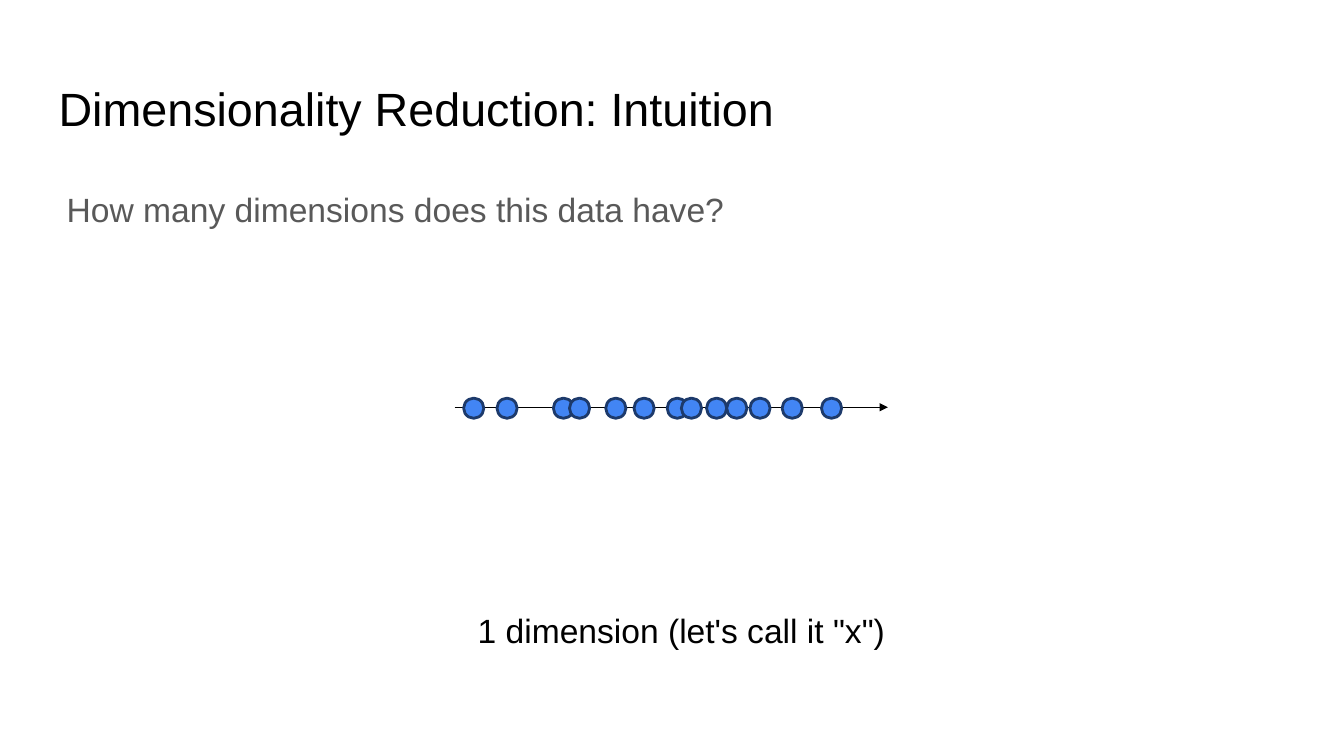
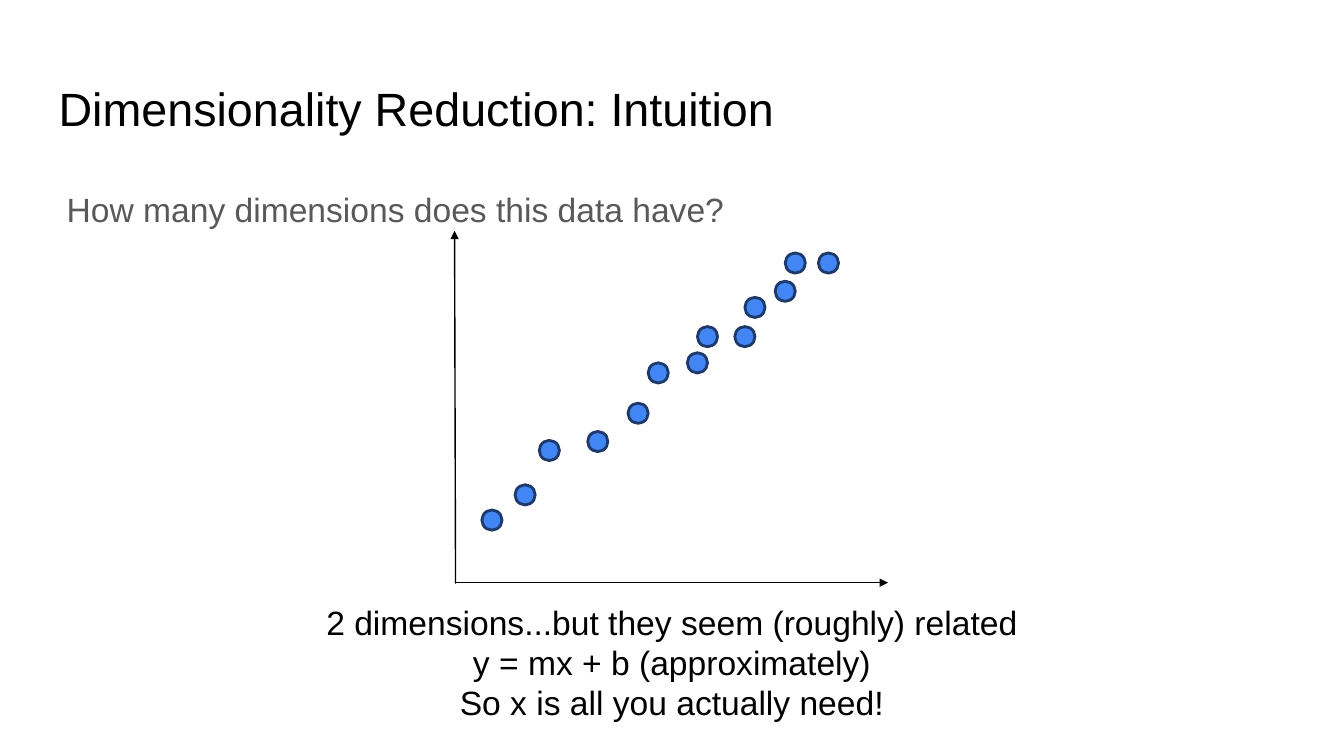
from lxml import etree
from pptx import Presentation
from pptx.dml.color import RGBColor
from pptx.enum.shapes import MSO_CONNECTOR, MSO_SHAPE
from pptx.enum.text import MSO_ANCHOR, MSO_AUTO_SIZE, PP_ALIGN
from pptx.oxml.ns import qn
from pptx.util import Pt

STRAIGHT, OVAL = MSO_CONNECTOR.STRAIGHT, MSO_SHAPE.OVAL
TOP, MIDDLE = MSO_ANCHOR.TOP, MSO_ANCHOR.MIDDLE
FIXED, GROW = MSO_AUTO_SIZE.NONE, MSO_AUTO_SIZE.SHAPE_TO_FIT_TEXT
LEFT, CENTER = PP_ALIGN.LEFT, PP_ALIGN.CENTER

BLACK = RGBColor(0x00, 0x00, 0x00)
GREY = RGBColor(0x59, 0x59, 0x59)
DOT_FILL = RGBColor(0x42, 0x85, 0xF4)
DOT_LINE = RGBColor(0x1D, 0x3A, 0x6B)

FONT = "Arial"
TITLE = "Dimensionality Reduction: Intuition"
QUESTION = "How many dimensions does this data have?"
DOT_SIZE = 14.4
INSET = 9.4

# Each slide: axes (from x, from y, to x, to y), dots (left, top), caption box and lines
ROW_TOP = 284.4
ROW_LEFTS = [331.2, 355, 395.3, 406.8, 432.7, 476.6, 452.9,
             486.7, 504.7, 519.1, 535.7, 558.7, 586.8]
PLOTS = [
    {
        "axes": [(324.7, 290.9, 634.3, 290.9)],
        "dots": [(left, ROW_TOP) for left in ROW_LEFTS],
        "caption_box": (329, 432, 315.4, 36),
        "caption": ['1 dimension (let\'s call it "x")'],
    },
    {
        "axes": [(324.7, 416.2, 634.3, 416.2), (325.4, 416.9, 324.7, 164.9)],
        "dots": [(344.2, 364.3), (367.9, 346.3), (463, 259.2), (385.2, 314.6),
                 (419.8, 308.2), (498.2, 233.3), (491, 252), (448.6, 288),
                 (560.9, 180.7), (584.6, 180.7), (532.1, 212.4),
                 (524.9, 233.3), (553.7, 200.9)],
        "caption_box": (173.5, 426.2, 612.7, 94.3),
        "caption": ["2 dimensions...but they seem (roughly) related",
                    "y = mx + b (approximately)",
                    "So x is all you actually need!"],
    },
]


def write_text(shape, lines, size, color, alignment, anchor, auto_size):
    frame = shape.text_frame
    frame.word_wrap = True
    frame.auto_size = auto_size
    frame.vertical_anchor = anchor
    for index, line in enumerate(lines):
        paragraph = frame.add_paragraph() if index else frame.paragraphs[0]
        paragraph.alignment = alignment
        run = paragraph.add_run()
        run.text = line
        run.font.name = FONT
        run.font.size = Pt(size)
        run.font.color.rgb = color
    return frame


def set_insets(frame, left):
    frame.margin_left = Pt(left)
    frame.margin_top = frame.margin_right = frame.margin_bottom = Pt(INSET)


presentation = Presentation()
presentation.slide_width = Pt(960)
presentation.slide_height = Pt(540)
title_only = presentation.slide_layouts[5]

for plot in PLOTS:
    slide = presentation.slides.add_slide(title_only)

    # Title
    title = slide.shapes.title
    title.left, title.top, title.width, title.height = (
        Pt(32.4), Pt(46.8), Pt(894.2), Pt(59.8))
    frame = write_text(title, [TITLE], 33.3, BLACK, LEFT, MIDDLE, FIXED)
    set_insets(frame, INSET)

    # Question, indented a little further than the title
    question = slide.shapes.add_textbox(Pt(32.4), Pt(121), Pt(894.2), Pt(52.6))
    frame = write_text(question, [QUESTION], 24, GREY, LEFT, TOP, FIXED)
    set_insets(frame, INSET + 5.8)
    frame.paragraphs[0].line_spacing = 1.15

    # Axes with arrowheads
    for axis_ends in plot["axes"]:
        axis = slide.shapes.add_connector(STRAIGHT, *map(Pt, axis_ends))
        axis.line.color.rgb = BLACK
        axis.line.width = Pt(1)
        etree.SubElement(axis.line._get_or_add_ln(), qn("a:tailEnd"), type="triangle")
        etree.SubElement(axis._element.spPr, qn("a:effectLst"))

    # Data points
    for left, top in plot["dots"]:
        dot = slide.shapes.add_shape(OVAL, Pt(left), Pt(top), Pt(DOT_SIZE), Pt(DOT_SIZE))
        dot.shadow.inherit = False
        dot.fill.solid()
        dot.fill.fore_color.rgb = DOT_FILL
        dot.line.color.rgb = DOT_LINE
        dot.line.width = Pt(2)

    # Caption
    caption = slide.shapes.add_textbox(*map(Pt, plot["caption_box"]))
    write_text(caption, plot["caption"], 24, BLACK, CENTER, TOP, GROW)

presentation.save("out.pptx")
